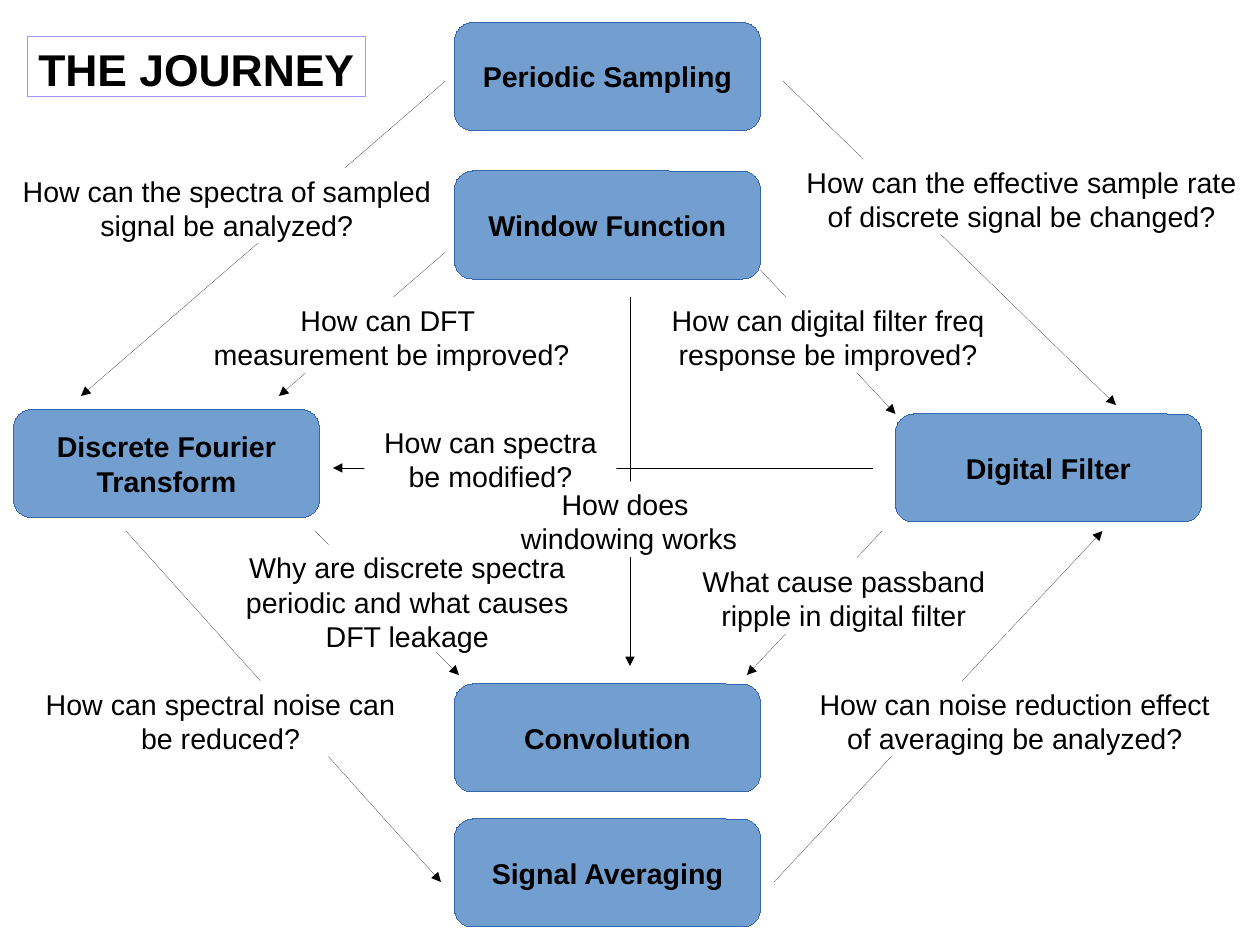
from pptx import Presentation
from pptx import util as u
from pptx.dml.color import RGBColor
from pptx.enum import shapes, text
from pptx.oxml import ns
from lxml import etree

# The page is a grid of square cells
COLUMNS, ROWS = 28, 21
CELL = u.Inches(11.02) / COLUMNS
FONT = "Arial"
BLACK = RGBColor(0x00, 0x00, 0x00)
WHITE = RGBColor(0xFF, 0xFF, 0xFF)
TOPIC_FILL = RGBColor(0x72, 0x9F, 0xCF)
TOPIC_LINE = RGBColor(0x34, 0x65, 0xAF)
TITLE_LINE = RGBColor(0x99, 0x99, 0xFF)
HAIRLINE = u.Emu(1)  # a width of zero would fall back to the theme's line

TOPIC_WIDTH, TOPIC_HEIGHT = 6.8, 2.4
LINE_HEIGHT, LABEL_PADDING = 0.71, 0.26

# Topics: column, row, name
TOPICS = [
    (10.1, 0.5, "Periodic Sampling"),
    (10.1, 3.8, "Window Function"),
    (10.1, 15.2, "Convolution"),
    (10.1, 18.2, "Signal Averaging"),
    (19.9, 9.2, "Digital Filter"),
    (0.3, 9.1, "Discrete Fourier\nTransform"),
]

# Arrows: start column and row, end column and row
ARROWS = [
    (9.9, 1.8, 1.8, 8.8),
    (2.8, 11.8, 9.8, 19.6),
    (17.2, 19.6, 24.5, 11.8),
    (17.4, 1.8, 24.8, 9),
    (9.9, 5.6, 6.2, 8.8),
    (7, 11.8, 10.2, 15),
    (19.6, 11.8, 16.6, 15),
    (16.9, 6, 19.9, 9.2),
    (14, 6.6, 14, 14.8),
    (19.4, 10.4, 7.4, 10.4),
]

# Questions: column, row, width, number of lines, wording
QUESTIONS = [
    (0.25, 3.73, 9.58, 2, "How can the spectra of sampled\nsignal be analyzed?"),
    (5.2, 12.1, 7.7, 3, "Why are discrete spectra periodic and what causes DFT leakage"),
    (11.33, 10.7, 5.3, 2, "How does \nwindowing works"),
    (8.1, 9.32, 5.6, 2, "How can spectra be modified?"),
    (15.1, 12.4, 7.3, 2, "What cause passband ripple in digital filter"),
    (17.8, 15.13, 9.5, 2, "How can noise reduction effect of averaging be analyzed?"),
    (0.4, 15.13, 9, 2, "How can spectral noise can be reduced?"),
    (14.5, 6.6, 7.8, 2, "How can digital filter freq response be improved?"),
    (17.4, 3.53, 10.6, 2, "How can the effective sample rate of discrete signal be changed?"),
    (4.4, 6.6, 8.6, 2, "How can DFT \nmeasurement be improved?"),
]


def cells(*counts):
    return [u.Emu(round(count * CELL)) for count in counts]


def write(box, wording, size=18, bold=False, anchor=text.MSO_ANCHOR.TOP,
          wrap=False, side_margin=0.1):
    frame = box.text_frame
    frame.auto_size = text.MSO_AUTO_SIZE.NONE
    frame.word_wrap = wrap
    frame.vertical_anchor = anchor
    frame.margin_left = frame.margin_right = u.Inches(side_margin)
    frame.margin_top = frame.margin_bottom = u.Inches(0.05)
    for index, line in enumerate(wording.split("\n")):
        para = frame.add_paragraph() if index else frame.paragraphs[0]
        para.alignment = text.PP_ALIGN.CENTER
        para.space_before = u.Pt(0)
        span = para.add_run()
        span.text = line
        span.font.name = FONT
        span.font.size = u.Pt(size)
        span.font.bold = bold
        span.font.color.rgb = BLACK


def outline(shape, colour):
    shape.line.color.rgb = colour
    shape.line.width = HAIRLINE


def add_title(page, wording):
    title = page.shapes.title
    title.left, title.top, title.width, title.height = cells(0.6, 0.8, 7.52, 1.35)
    outline(title, TITLE_LINE)
    # Narrow side margins keep the title on one line
    write(title, wording, size=28, bold=True, side_margin=0.02)


def add_topic(page, column, row, name):
    box = page.shapes.add_shape(shapes.MSO_SHAPE.ROUNDED_RECTANGLE,
                                *cells(column, row, TOPIC_WIDTH, TOPIC_HEIGHT))
    box.shadow.inherit = False
    box.fill.solid()
    box.fill.fore_color.rgb = TOPIC_FILL
    outline(box, TOPIC_LINE)
    write(box, name, bold=True, anchor=text.MSO_ANCHOR.MIDDLE)


def add_arrow(page, *ends):
    arrow = page.shapes.add_connector(shapes.MSO_CONNECTOR.STRAIGHT, *cells(*ends))
    outline(arrow, BLACK)
    line = arrow._element.spPr.find(ns.qn("a:ln"))
    etree.SubElement(line, ns.qn("a:tailEnd"), type="triangle")
    etree.SubElement(arrow._element.spPr, ns.qn("a:effectLst"))


def add_question(page, column, row, width, lines, wording):
    height = lines * LINE_HEIGHT + LABEL_PADDING
    box = page.shapes.add_textbox(*cells(column, row, width, height))
    box.fill.solid()
    box.fill.fore_color.rgb = WHITE
    write(box, wording, wrap="\n" not in wording)


def main():
    deck = Presentation()
    deck.slide_width, deck.slide_height = cells(COLUMNS, ROWS)
    page = deck.slides.add_slide(deck.slide_layouts.get_by_name("Title Only"))
    add_title(page, "THE JOURNEY")
    for topic in TOPICS:
        add_topic(page, *topic)
    for ends in ARROWS:
        add_arrow(page, *ends)
    # The white question boxes cover the middle of the arrows
    for question in QUESTIONS:
        add_question(page, *question)
    deck.save("out.pptx")


if __name__ == "__main__":
    main()
